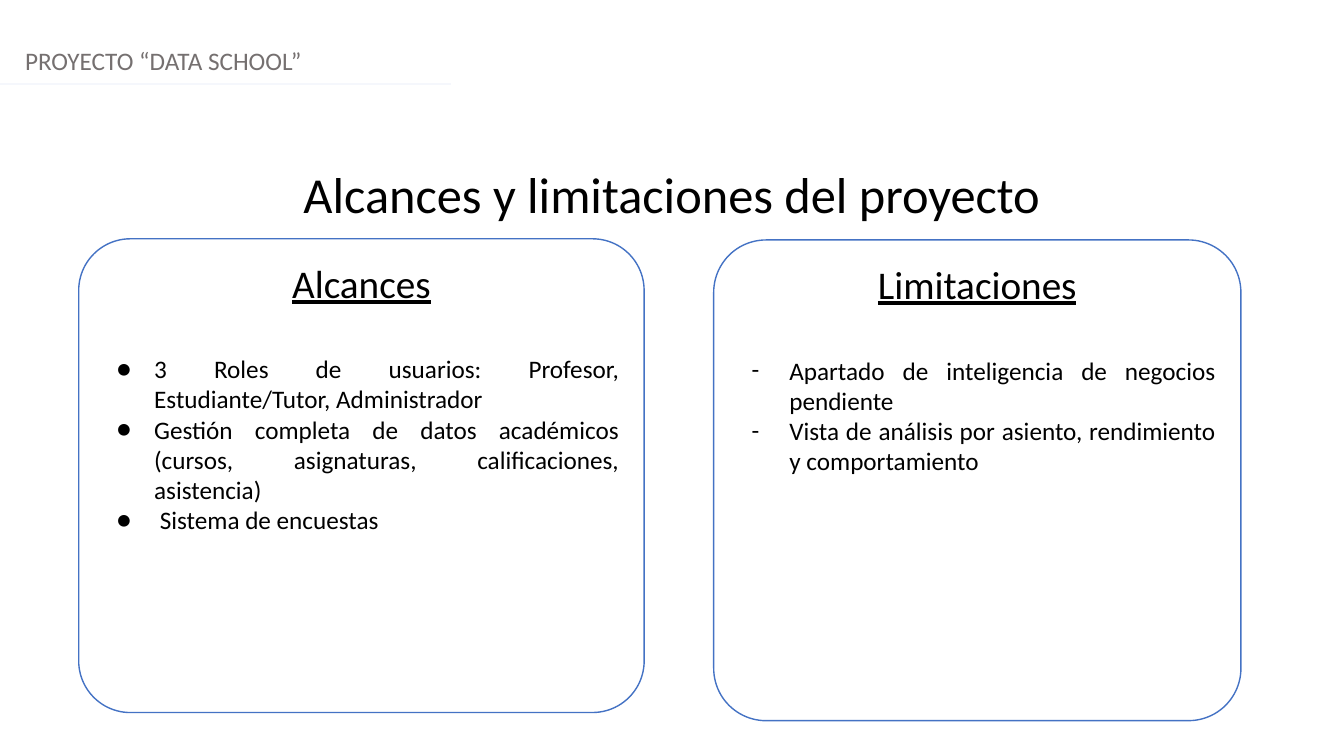
from lxml import etree
from pptx import Presentation
from pptx.dml.color import RGBColor
from pptx.enum import shapes, text
from pptx.oxml.ns import qn
from pptx.util import Pt


def color(hex_value):
    return RGBColor.from_string(hex_value)


def add_run(paragraph, words, size, hex_value="000000", underline=None):
    run = paragraph.add_run()
    run.text = words
    run.font.name = "Calibri"
    run.font.size = Pt(size)
    run.font.underline = underline
    run.font.color.rgb = color(hex_value)


prs = Presentation()
prs.slide_width, prs.slide_height = Pt(960), Pt(540)
slide = prs.slides.add_slide(prs.slide_layouts[5])

# Project header
header = slide.shapes.add_textbox(Pt(10.8), Pt(28.8), Pt(949.2), Pt(28.8))
header.text_frame.word_wrap = True
add_run(header.text_frame.paragraphs[0], "PROYECTO “DATA SCHOOL”", 18, "757070")

# Slide title
title = slide.shapes.title
title.left, title.top, title.width, title.height = Pt(0), Pt(113), Pt(960), Pt(51)
title.text_frame.auto_size = text.MSO_AUTO_SIZE.NONE
title.text_frame.vertical_anchor = text.MSO_ANCHOR.TOP
title.text_frame.paragraphs[0].alignment = text.PP_ALIGN.CENTER
add_run(title.text_frame.paragraphs[0], "Alcances y limitaciones del proyecto", 36)

# Rule under the header
rule = slide.shapes.add_connector(
    shapes.MSO_CONNECTOR.STRAIGHT, Pt(0), Pt(59.8), Pt(321.8), Pt(59.8))
rule.line.color.rgb = color("F5F7FC")
rule.line.width = Pt(1.25)
etree.SubElement(rule._element.spPr, qn("a:effectLst"))

# Scope and limitation cards: heading, bullet, left, top, width, height, items
cards = [
    ("Alcances", "●", 56.2, 170.6, 403.9, 338.4, [
        "3 Roles de usuarios: Profesor, Estudiante/Tutor, Administrador",
        "Gestión completa de datos académicos (cursos, asignaturas, "
        "calificaciones, asistencia)",
        " Sistema de encuestas"]),
    ("Limitaciones", "-", 509.8, 171.4, 376.6, 343.4, [
        "Apartado de inteligencia de negocios pendiente",
        "Vista de análisis por asiento, rendimiento y comportamiento"]),
]
for heading, bullet, left, top, width, height, items in cards:
    card = slide.shapes.add_shape(
        shapes.MSO_SHAPE.ROUNDED_RECTANGLE, Pt(left), Pt(top), Pt(width), Pt(height))
    card.adjustments[0] = 0.109
    card.shadow.inherit = False
    card.fill.solid()
    card.fill.fore_color.rgb = color("FFFFFF")
    card.line.color.rgb = color("4472C4")
    card.line.width = Pt(1)

    frame = card.text_frame
    frame.word_wrap = True
    frame.vertical_anchor = text.MSO_ANCHOR.TOP
    frame.paragraphs[0].alignment = text.PP_ALIGN.CENTER
    frame.paragraphs[0].space_after = Pt(34)
    add_run(frame.paragraphs[0], heading, 28, underline=True)

    for item in items:
        point = frame.add_paragraph()
        point.alignment = text.PP_ALIGN.JUSTIFY
        props = point._p.get_or_add_pPr()
        props.set("marL", str(Pt(36)))
        props.set("indent", str(Pt(-27)))
        bullet_color = etree.SubElement(props, qn("a:buClr"))
        etree.SubElement(bullet_color, qn("a:srgbClr"), val="000000")
        etree.SubElement(props, qn("a:buFont"), typeface="Calibri")
        etree.SubElement(props, qn("a:buChar"), char=bullet)
        add_run(point, item, 18)

prs.save("out.pptx")
